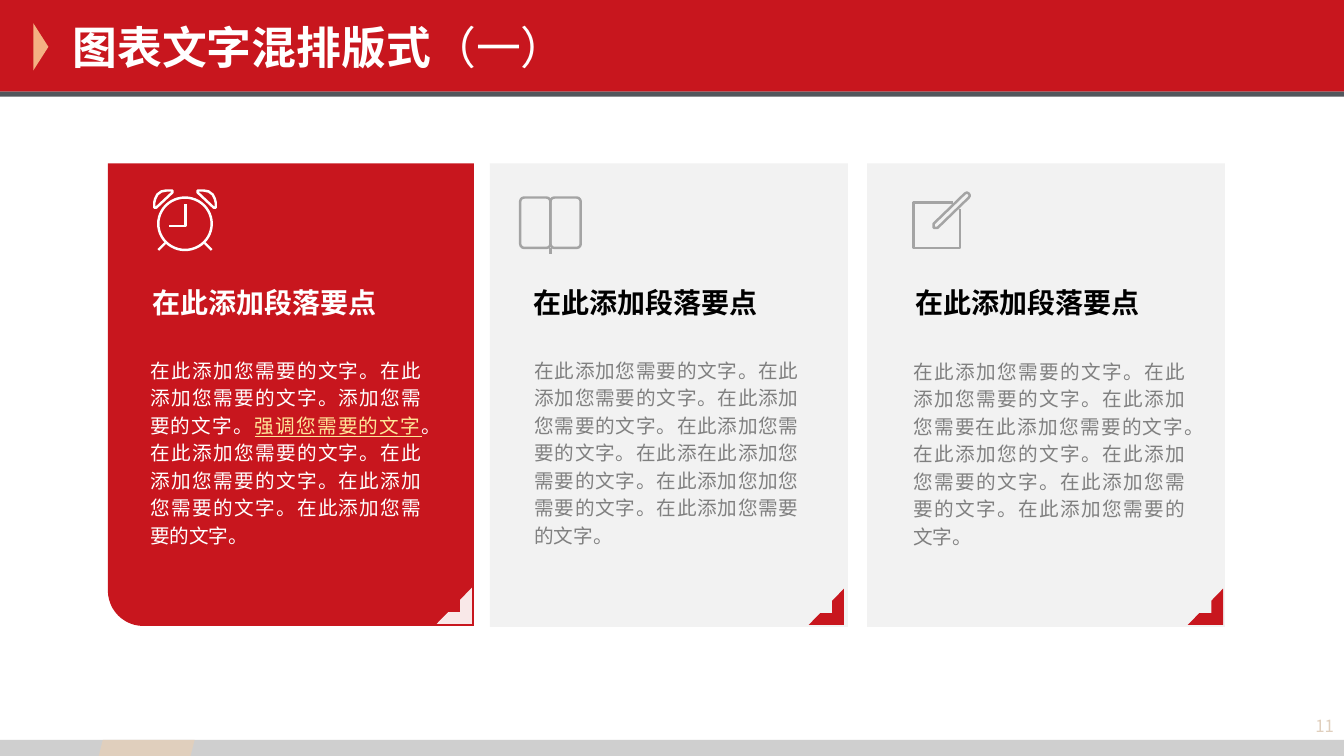
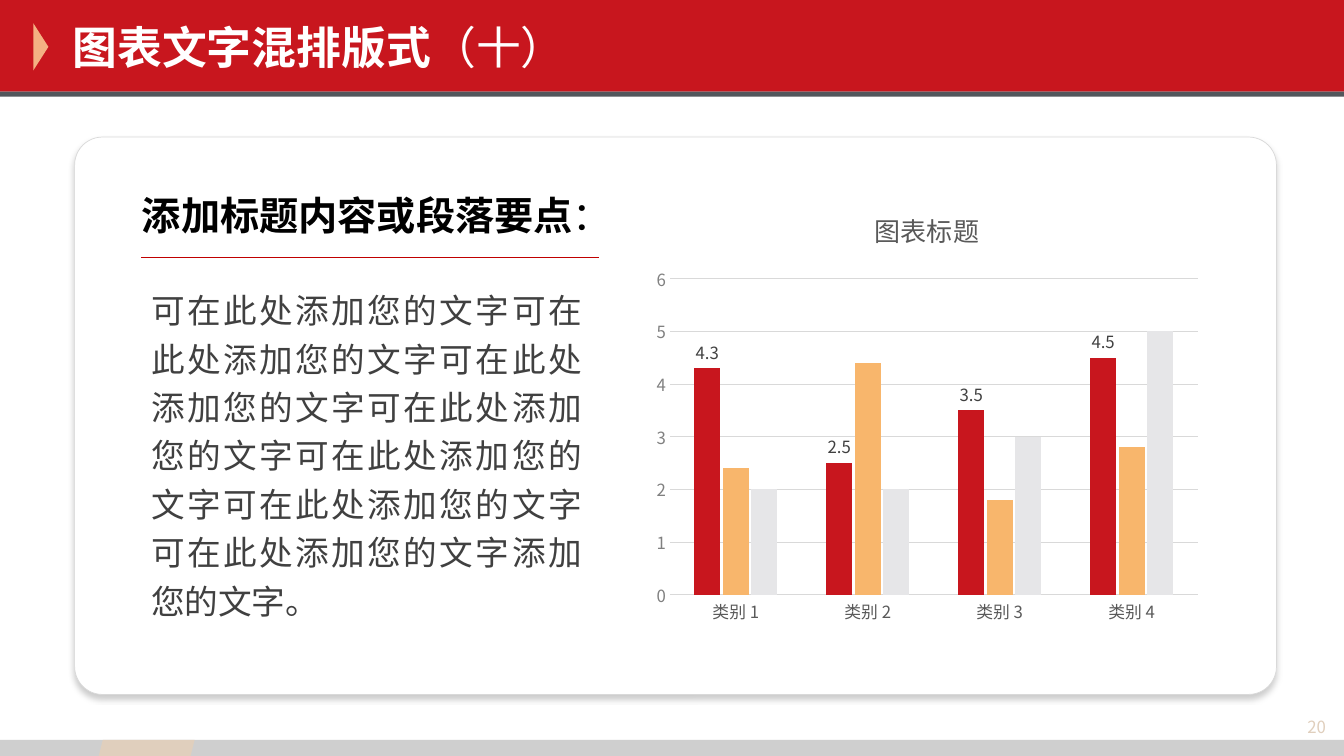
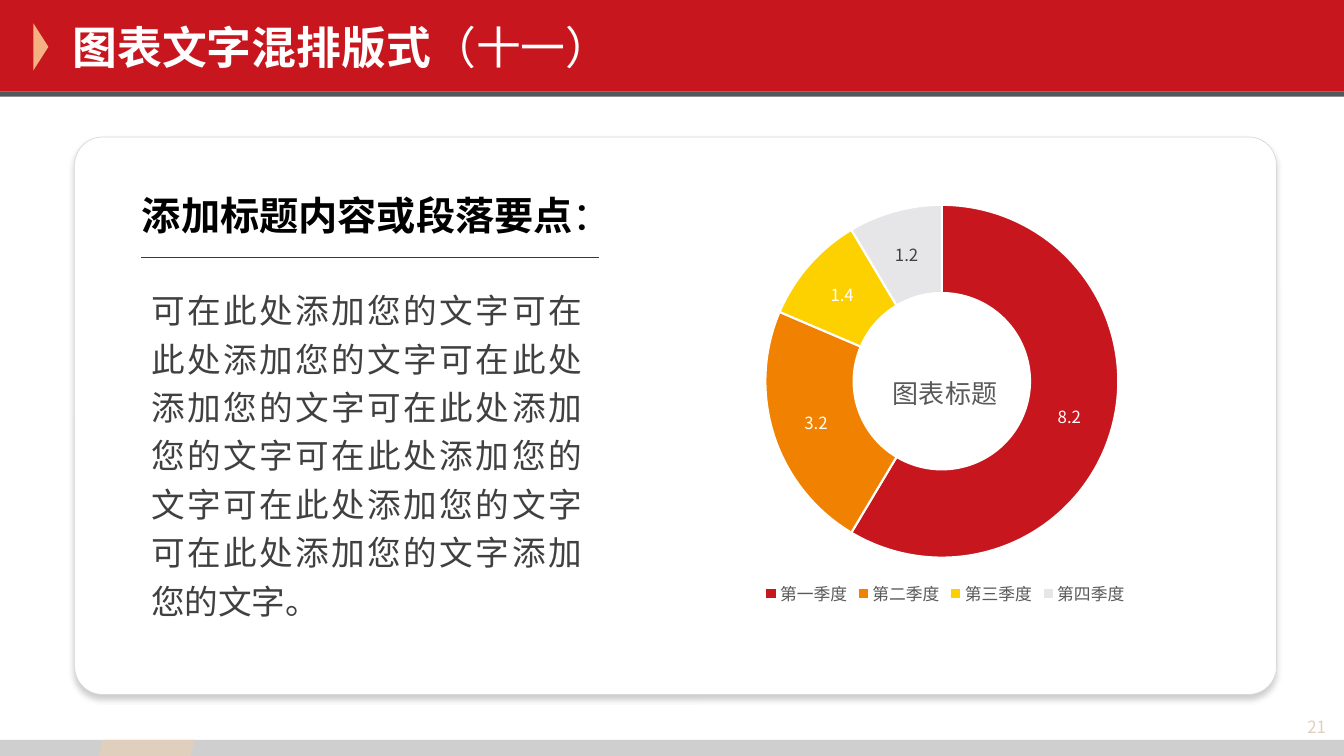
from dataclasses import dataclass
from typing import NamedTuple

from lxml import etree
from pptx import Presentation
from pptx import util as u
from pptx.chart.data import CategoryChartData
from pptx.dml.color import RGBColor
from pptx.enum import chart as charts, shapes, text
from pptx.oxml import parse_xml
from pptx.oxml.ns import nsdecls, qn

PX = 9144  # 100 px to the inch
FONT = "Noto Sans CJK SC"
RED, WHITE, BLACK = "C8161E", "FFFFFF", "000000"
PALE, SAND, RULE = "F2F2F2", "E0CFBD", "D9D9D9"
ICON_GREY, TEXT_GREY, AXIS_GREY, DARK = "A4A4A4", "808080", "595959", "404040"
KIND = shapes.MSO_SHAPE


class Box(NamedTuple):
    left: int
    top: int
    width: int
    height: int

    def emu(self) -> list[int]:
        return [value * PX for value in self]


@dataclass(frozen=True)
class Run:
    text: str
    size: int
    color: str
    bold: bool = False
    underline: bool = False


@dataclass(frozen=True)
class Card:
    heading: Box
    body: Box
    corner: Box
    heading_color: str
    corner_color: str
    runs: list[Run]
    corner_alpha: int = 100


# Basic drawing
def rgb(color: str) -> RGBColor:
    return RGBColor.from_string(color)


def set_alpha(fill_parent, percent: int) -> None:
    color = next(fill_parent.iter(qn("a:srgbClr")))
    etree.SubElement(color, qn("a:alpha")).set("val", str(percent * 1000))


def add_east_asian(element) -> None:
    for latin in element.iter(qn("a:latin")):
        latin.addnext(parse_xml(f'<a:ea {nsdecls("a")} typeface="{FONT}"/>'))


def paint(shape, fill: str | None, line: str | None = None, width: float = 1) -> None:
    shape.shadow.inherit = False
    if fill:
        shape.fill.solid()
        shape.fill.fore_color.rgb = rgb(fill)
    else:
        shape.fill.background()
    if line:
        shape.line.color.rgb = rgb(line)
        shape.line.width = u.Pt(width)
    else:
        shape.line.fill.background()


def add_block(slide, kind, box: Box, fill: str | None, line: str | None = None,
              width: float = 1, rotation: int = 0, adjust: tuple = (), alpha: int = 100):
    shape = slide.shapes.add_shape(kind, *box.emu())
    shape.rotation = rotation
    for index, value in enumerate(adjust):
        shape.adjustments[index] = value
    paint(shape, fill, line, width)
    if alpha < 100:
        set_alpha(shape._element.spPr, alpha)
    return shape


def add_line(slide, start: tuple, end: tuple, color: str, width: float) -> None:
    points = [value * PX for value in (*start, *end)]
    line = slide.shapes.add_connector(shapes.MSO_CONNECTOR.STRAIGHT, *points)
    line.line.color.rgb = rgb(color)
    line.line.width = u.Pt(width)
    etree.SubElement(line._element.spPr, qn("a:effectLst"))


def add_outline(slide, points: list, color: str, close: bool = True) -> None:
    builder = slide.shapes.build_freeform(*points[0], scale=PX)
    builder.add_line_segments(points[1:], close=close)
    paint(builder.convert_to_shape(), None, color, 1.75)


def add_text(slide, box: Box, runs: list[Run], align=text.PP_ALIGN.LEFT,
             spacing: float = 1, anchor=text.MSO_ANCHOR.TOP) -> None:
    frame = slide.shapes.add_textbox(*box.emu()).text_frame
    frame.word_wrap = True
    frame.vertical_anchor = anchor
    paragraph = frame.paragraphs[0]
    paragraph.alignment = align
    paragraph.line_spacing = spacing
    for item in runs:
        run = paragraph.add_run()
        run.text = item.text
        set_font(run.font, item.size, item.color, item.bold)
        run.font.underline = item.underline
        add_east_asian(run._r)


def set_font(font, size: float, color: str, bold: bool = False) -> None:
    font.name = FONT
    font.size = u.Pt(size)
    font.bold = bold
    font.color.rgb = rgb(color)


# Shared frame: bands, title, page number
def add_framed_slide(presentation, suffix: str, number: str, number_box: Box):
    slide = presentation.slides.add_slide(presentation.slide_layouts[6])
    add_block(slide, KIND.RECTANGLE, Box(0, 0, 1333, 91), RED)
    add_block(slide, KIND.ISOSCELES_TRIANGLE, Box(17, 39, 47, 15), "F4B183", rotation=90)
    add_block(slide, KIND.RECTANGLE, Box(0, 91, 1333, 5), "52575C")
    add_block(slide, KIND.RECTANGLE, Box(0, 734, 1333, 16), "BFBFBF", alpha=75)
    add_block(slide, KIND.PARALLELOGRAM, Box(98, 734, 95, 16), SAND)
    middle = text.MSO_ANCHOR.MIDDLE
    add_text(slide, Box(62, 14, 1069, 65),
             [Run("图表文字混排版式", 32, WHITE, bold=True), Run(suffix, 32, WHITE)],
             anchor=middle)
    add_text(slide, number_box, [Run(number, 12, SAND)], text.PP_ALIGN.RIGHT, anchor=middle)
    return slide


# Icons
def add_clock_icon(slide) -> None:
    axis = 367  # twice the x of the vertical centre line
    ear = [(171, 189), (165, 189), (160, 190), (156, 193), (154, 197), (153, 201),
           (153, 206), (155, 206), (171, 191)]
    add_block(slide, KIND.OVAL, Box(157, 196, 53, 52), None, WHITE, 1.75)
    add_outline(slide, ear, WHITE)
    add_outline(slide, [(axis - x, y) for x, y in ear], WHITE)
    add_outline(slide, [(168, 224), (184, 224), (184, 202)], WHITE, close=False)
    add_line(slide, (157, 248), (164, 241), WHITE, 1.75)
    add_line(slide, (axis - 157, 248), (axis - 164, 241), WHITE, 1.75)


def add_book_icon(slide) -> None:
    for left in (516, 546):
        add_block(slide, KIND.ROUNDED_RECTANGLE, Box(left, 196, 30, 50), None,
                  ICON_GREY, 1.75, adjust=(0.13,))
    add_line(slide, (546, 246), (546, 252), ICON_GREY, 2)


def add_note_icon(slide) -> None:
    sheet = [(945, 201), (906, 201), (906, 246), (952, 246), (952, 207)]
    pen = [(926, 226), (926, 222), (957, 192), (959, 191), (961, 192), (962, 194),
           (961, 196), (930, 226)]
    add_outline(slide, sheet, ICON_GREY, close=False)
    add_outline(slide, pen, ICON_GREY)


# Three cards
CARDS = [
    Card(Box(141, 284, 289, 35), Box(139, 347, 289, 89), Box(433, 583, 35, 36), WHITE, WHITE, [
        Run("在此添加您需要的文字。在此添加您需要的文字。添加您需要的文字。", 14, WHITE),
        Run("强调您需要的文字", 14, "FFE699", underline=True),
        Run("。在此添加您需要的文字。在此添加您需要的文字。在此添加您需要的文字。"
            "在此添加您需要的文字。", 14, WHITE)], corner_alpha=90),
    Card(Box(519, 284, 289, 35), Box(520, 347, 282, 119), Box(802, 584, 35, 36), BLACK, RED, [
        Run("在此添加您需要的文字。在此添加您需要的文字。在此添加您需要的文字。"
            "在此添加您需要的文字。在此添在此添加您需要的文字。"
            "在此添加您加您需要的文字。在此添加您需要的文字。", 14, TEXT_GREY)]),
    Card(Box(898, 284, 289, 35), Box(896, 348, 289, 89), Box(1178, 584, 35, 36), BLACK, RED, [
        Run("在此添加您需要的文字。在此添加您需要的文字。在此添加您需要在此添加您需要的文字。"
            "在此添加您的文字。在此添加您需要的文字。在此添加您需要的文字。"
            "在此添加您需要的文字。", 14, TEXT_GREY)]),
]


def add_cards_slide(presentation) -> None:
    slide = add_framed_slide(presentation, "（一）", "11", Box(1220, 701, 113, 38))
    add_block(slide, KIND.SNIP_ROUND_RECTANGLE, Box(59, 210, 459, 363), RED,
              rotation=270, adjust=(0.097, 0))
    for left in (486, 860):
        add_block(slide, KIND.RECTANGLE, Box(left, 162, 355, 460), PALE)
    for card in CARDS:
        add_text(slide, card.heading, [Run("在此添加段落要点", 20, card.heading_color, bold=True)],
                 spacing=0.96, anchor=text.MSO_ANCHOR.MIDDLE)
        add_text(slide, card.body, card.runs, text.PP_ALIGN.JUSTIFY, 1.17)
        add_block(slide, KIND.HALF_FRAME, card.corner, card.corner_color,
                  rotation=180, alpha=card.corner_alpha)
    add_clock_icon(slide)
    add_book_icon(slide)
    add_note_icon(slide)


# Panel with text on the left, used by both chart slides
def add_panel_slide(presentation, suffix: str, number: str):
    slide = add_framed_slide(presentation, suffix, number, Box(1212, 702, 113, 38))
    panel = add_block(slide, KIND.ROUNDED_RECTANGLE, Box(74, 136, 1192, 553), WHITE,
                      RULE, 0.5, adjust=(0.05,))
    effects = panel._element.spPr.find(qn("a:effectLst"))
    effects.append(parse_xml(
        f'<a:outerShdw {nsdecls("a")} blurRad="{u.Pt(4)}" dist="{u.Pt(3)}" dir="5400000" '
        'algn="t" rotWithShape="0"><a:srgbClr val="000000"><a:alpha val="20000"/>'
        '</a:srgbClr></a:outerShdw>'))
    add_text(slide, Box(131, 171, 500, 65),
             [Run("添加标题内容或段落要点", 28, BLACK, bold=True), Run("：", 28, BLACK)],
             spacing=1.3)
    add_line(slide, (140, 255), (594, 255), "C00000", 0.5)
    add_text(slide, Box(140, 275, 447, 345),
             [Run("可在此处添加您的文字" * 7 + "添加您的文字。", 24, DARK)],
             text.PP_ALIGN.JUSTIFY, 1.2)
    return slide


def add_titled_chart(slide, kind, box: Box, categories: list[str], series: list[tuple]):
    data = CategoryChartData()
    data.categories = categories
    for index, values in enumerate(series, 1):
        data.add_series(f"Series {index}", values)
    chart = slide.shapes.add_chart(kind, *box.emu(), data).chart
    set_font(chart.font, 10, BLACK)
    chart.has_title = True
    run = chart.chart_title.text_frame.paragraphs[0].add_run()
    run.text = "图表标题"
    set_font(run.font, 18.6, AXIS_GREY)
    return chart


def show_values(series, color: str):
    labels = series.data_labels
    labels.show_value = True
    set_font(labels.font, 12, color)
    return labels


def set_layout(parent, successors: tuple, target: str = "", **position: float) -> None:
    """Give a chart part a manual place as fractions of the chart."""
    for old in parent.findall(qn("c:layout")):
        parent.remove(old)
    values = "".join(f'<c:{key} val="{value}"/>' for key, value in position.items())
    inner = f'<c:layoutTarget val="{target}"/>' if target else ""
    layout = parse_xml(
        f'<c:layout {nsdecls("c")}><c:manualLayout>{inner}<c:xMode val="edge"/>'
        f'<c:yMode val="edge"/>{values}</c:manualLayout></c:layout>')
    following = next(child for child in parent if child.tag in map(qn, successors))
    following.addprevious(layout)


def add_column_slide(presentation) -> None:
    slide = add_panel_slide(presentation, "（十）", "20")
    chart = add_titled_chart(
        slide, charts.XL_CHART_TYPE.COLUMN_CLUSTERED, Box(640, 188, 559, 440),
        [f"类别 {index}" for index in range(1, 5)],
        [(4.3, 2.5, 3.5, 4.5), (2.4, 4.4, 1.8, 2.8), (2, 2, 3, 5)])
    chart.has_legend = False
    plot = chart.plots[0]
    plot.gap_width, plot.overlap, plot.vary_by_categories = 190, -10, False
    for series, color in zip(plot.series, (RED, "F8B66C", "E6E6E8")):
        series.format.fill.solid()
        series.format.fill.fore_color.rgb = rgb(color)
    show_values(plot.series[0], DARK).position = charts.XL_LABEL_POSITION.OUTSIDE_END

    values, categories = chart.value_axis, chart.category_axis
    values.minimum_scale, values.maximum_scale, values.major_unit = 0, 6, 1
    values.has_major_gridlines = True
    for axis, color in ((values, TEXT_GREY), (categories, AXIS_GREY)):
        axis.major_tick_mark = charts.XL_TICK_MARK.NONE
        set_font(axis.tick_labels.font, 12, color)
    values.format.line.fill.background()
    for holder in (values.major_gridlines, categories):
        holder.format.line.color.rgb = rgb(RULE)
        holder.format.line.width = u.Pt(0.75)
    add_east_asian(chart._chartSpace)


def add_doughnut_slide(presentation) -> None:
    slide = add_panel_slide(presentation, "（十一）", "21")
    chart = add_titled_chart(
        slide, charts.XL_CHART_TYPE.DOUGHNUT, Box(679, 148, 517, 457),
        [f"第{name}季度" for name in "一二三四"], [(8.2, 3.2, 1.4, 1.2)])
    chart.has_legend = True
    chart.legend.position = charts.XL_LEGEND_POSITION.BOTTOM
    chart.legend.include_in_layout = False
    set_font(chart.legend.font, 12, AXIS_GREY)
    series = chart.plots[0].series[0]
    for index, color in enumerate((RED, "F18101", "FDD100", "E6E6E8")):
        point = series.points[index].format
        point.fill.solid()
        point.fill.fore_color.rgb = rgb(color)
        point.line.color.rgb = rgb(WHITE)
        point.line.width = u.Pt(1.5)
    show_values(series, WHITE)
    set_font(series.points[3].data_label.font, 12, DARK)

    # Title inside the hole, ring at a fixed place
    chart.chart_title.include_in_layout = True
    space = chart._chartSpace
    next(space.iter(qn("c:holeSize"))).set("val", "58")
    set_layout(next(space.iter(qn("c:title"))), ("c:overlay",), x=0.39, y=0.47)
    set_layout(next(space.iter(qn("c:plotArea"))), ("c:doughnutChart",), "inner",
               x=0.155, y=0.121, w=0.677, h=0.766)
    add_east_asian(space)


def main() -> None:
    presentation = Presentation()
    presentation.slide_width = 1333 * PX
    presentation.slide_height = 750 * PX
    add_cards_slide(presentation)
    add_column_slide(presentation)
    add_doughnut_slide(presentation)
    presentation.save("out.pptx")


if __name__ == "__main__":
    main()
